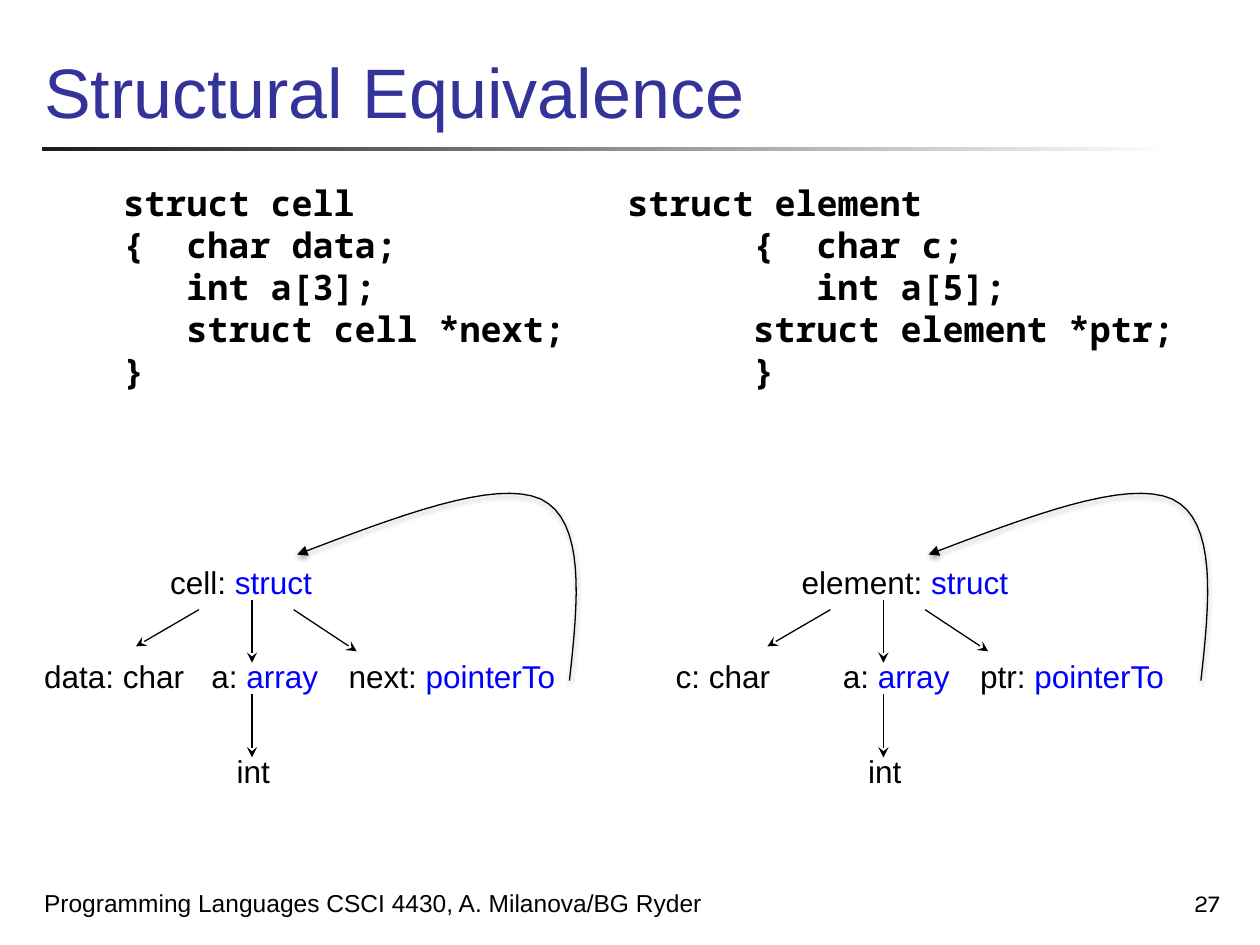
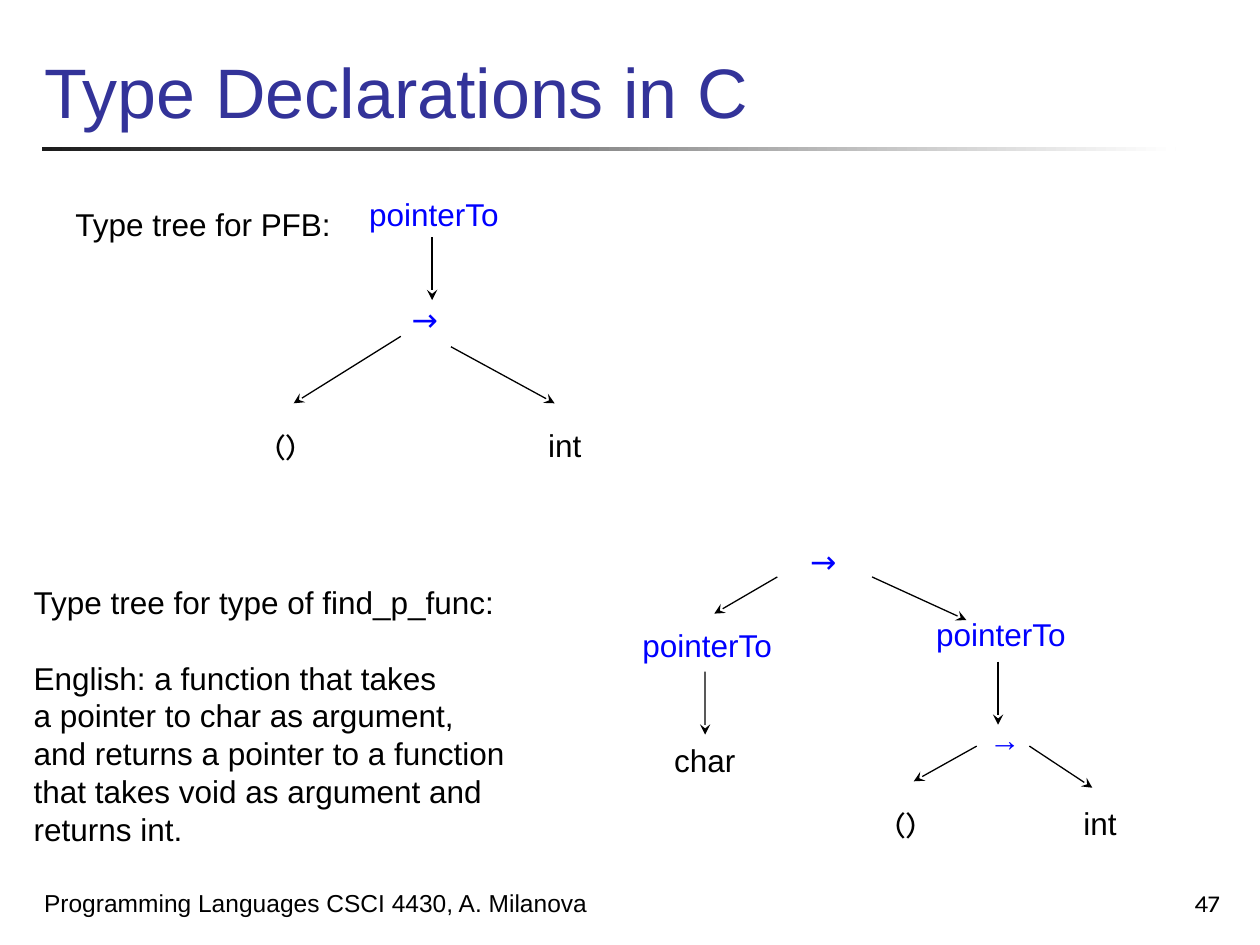
import pptx
import pptx.util
import pptx.dml.color
import pptx.enum.shapes
import pptx.enum.text
import pptx.oxml.ns
from lxml import etree

Cm = pptx.util.Cm
Pt = pptx.util.Pt
qn = pptx.oxml.ns.qn
Anchor = pptx.enum.text.MSO_ANCHOR
Align = pptx.enum.text.PP_ALIGN


def paint(code):
    return pptx.dml.color.RGBColor.from_string(code)


def bend(start, one, two, end, steps=16):
    for i in range(1, steps + 1):
        t = i / steps
        u = 1 - t
        yield tuple(
            round(u**3 * a + 3 * u * u * t * b + 3 * u * t * t * c + t**3 * d)
            for a, b, c, d in zip(start, one, two, end)
        )


class Deck:
    black, blue, navy, grey, white = "000000", "0000FF", "333399", "1C1C1C", "FFFFFF"
    sans, alt, mono = "Arial", "Karla", "Noto Sans Mono"
    pitch = 21.6

    def __init__(self):
        self.file = pptx.Presentation()
        self.file.slide_width = Cm(25.4)
        self.file.slide_height = Cm(19.05)
        self.slide = None

    def page(self, title, credit, number):
        self.slide = self.file.slides.add_slide(self.file.slide_layouts[6])
        self.rule()
        self.text(0.64, 0, 24.18, 2.79, title, 40, self.navy, anchor=Anchor.BOTTOM)
        self.text(0.64, 17.35, 15.24, 1.27, credit, 14, anchor=Anchor.BOTTOM)
        foot = self.text(19.56, 17.35, 5.28, 1.27, number, 14, font=self.alt, anchor=Anchor.BOTTOM)
        foot.text_frame.paragraphs[0].alignment = Align.RIGHT

    def rule(self):
        kind = pptx.enum.shapes.MSO_SHAPE.RECTANGLE
        bar = self.slide.shapes.add_shape(kind, Cm(0.84), Cm(2.97), Cm(22.86), Cm(0.08))
        bar.shadow.inherit = False
        bar.line.fill.background()
        bar.fill.gradient()
        bar.fill.gradient_angle = 0
        for stop, code in zip(bar.fill.gradient_stops, (self.grey, self.white)):
            stop.color.rgb = paint(code)

    def style(self, run, size, code, font, bold=False):
        run.font.size = Pt(size)
        run.font.name = font
        run.font.bold = bold
        run.font.color.rgb = paint(code)

    def text(self, x, y, wide, high, words, size, code=black, font=sans, bold=False,
             anchor=Anchor.TOP, wrap=True):
        box = self.slide.shapes.add_textbox(Cm(x), Cm(y), Cm(wide), Cm(high))
        frame = box.text_frame
        frame.word_wrap = wrap
        frame.vertical_anchor = anchor
        frame.text = words
        for para in frame.paragraphs:
            for run in para.runs:
                self.style(run, size, code, font, bold)
        return box

    def label(self, x, y, wide, plain="", typed="", font=sans, high=1.02):
        box = self.text(x, y, wide, high, plain, 18, font=font, wrap=False)
        frame = box.text_frame
        frame.auto_size = pptx.enum.text.MSO_AUTO_SIZE.SHAPE_TO_FIT_TEXT
        for para in frame.paragraphs:
            para.line_spacing = Pt(self.pitch)
        if typed:
            run = frame.paragraphs[0].add_run()
            run.text = typed
            self.style(run, 18, self.blue, font)
        return box

    def code(self, x, y, wide, high, rows):
        words = "\n".join(row for row, stops in rows)
        box = self.text(x, y, wide, high, words, 20, font=self.mono, bold=True)
        box.text_frame.margin_left = Cm(1.52)
        for para, (row, stops) in zip(box.text_frame.paragraphs, rows):
            para.line_spacing = Pt(24)
            tabs = etree.SubElement(para._p.get_or_add_pPr(), qn("a:tabLst"))
            for stop in stops:
                etree.SubElement(tabs, qn("a:tab"), pos=str(Cm(stop)), algn="l")

    def tip(self, item, kind):
        item.line.color.rgb = paint(self.black)
        item.line.width = Pt(0.75)
        etree.SubElement(item.line._get_or_add_ln(), qn("a:tailEnd"), type=kind)
        return etree.SubElement(item._element.spPr, qn("a:effectLst"))

    def arrow(self, x, y, to_x, to_y, goal=None):
        kind = pptx.enum.shapes.MSO_CONNECTOR.STRAIGHT
        line = self.slide.shapes.add_connector(kind, Cm(x), Cm(y), Cm(to_x), Cm(to_y))
        if goal is not None:
            line.end_connect(goal, 0)
        self.tip(line, "stealth")

    def loop(self, points):
        build = self.slide.shapes.build_freeform(*points[0])
        for k in range(0, len(points) - 1, 3):
            build.add_line_segments(list(bend(*points[k:k + 4])), close=False)
        curve = build.convert_to_shape()
        curve.fill.background()
        glow = etree.SubElement(self.tip(curve, "triangle"), qn("a:outerShdw"),
                                blurRad=str(Pt(3.1)), dist=str(Pt(1.8)), dir="5400000", rotWithShape="0")
        tone = etree.SubElement(glow, qn("a:srgbClr"), val=self.black)
        etree.SubElement(tone, qn("a:alpha"), val="35000")

    def tree(self, left, head, item, link):
        self.label(left + 3.18, 11.23, head[1], head[0], " struct")
        self.label(left + 0.64, 13.13, item[1], item[0])
        self.label(left + 4.01, 13.13, 2.69, "a: ", "array")
        self.label(left + 6.78, 13.13, link[1], link[0], "pointerTo")
        self.label(left + 4.52, 15.04, 1.19, "int")
        for x, y, to_x, to_y in (
            (4.01, 12.29, 2.74, 13.03),
            (5.92, 12.29, 7.19, 13.13),
            (5.08, 12.09, 5.08, 13.36),
            (5.08, 14, 5.08, 15.27),
        ):
            self.arrow(left + x, y, left + to_x, to_y)
        self.loop([(Cm(left + x), Cm(y)) for x, y in (
            (11.48, 13.72), (11.66, 12.12), (11.81, 10.49), (10.9, 10.06),
            (9.98, 9.65), (8, 10.41), (5.99, 11.18),
        )])


def equal(deck):
    deck.page("Structural Equivalence", "Programming Languages CSCI 4430, A. Milanova/BG Ryder", "27")
    near, far, deep = 1.27, 12.7, 13.97
    deck.code(0.97, 3.53, 23.8, 4.52, (
        ("struct cell\tstruct element", (10.16,)),
        ("{\tchar data;\t{\tchar c;", (near, far, deep)),
        ("\tint a[3];\tint a[5];", (near, deep)),
        ("\tstruct cell *next;\tstruct element *ptr;", (near, far)),
        ("}\t}", (far,)),
    ))
    deck.tree(0, ("cell:", 3.4), ("data: char", 3.35), ("next: ", 4.72))
    deck.tree(12.73, ("element:", 4.72), ("c: char", 2.44), ("ptr: ", 4.24))


def declare(deck):
    deck.page("Type Declarations in C", "Programming Languages CSCI 4430, A. Milanova", "47")
    deck.label(1.27, 4.01, 5.72, "Type tree for PFB:")
    lines = (
        "Type tree for type of find_p_func:",
        "English: a function that takes",
        "a pointer to char as argument,",
        "and returns a pointer to a function",
        "that takes void as argument and",
        "returns int.",
    )
    note = deck.label(0.43, 11.63, 10.19, "\n".join(lines), high=5.59)
    note.text_frame.paragraphs[1].space_before = Pt(deck.pitch)
    for x, y in ((7.19, 3.81), (18.62, 12.27), (12.7, 12.5)):
        deck.label(x, y, 3.2, typed="pointerTo")
    for x, y, font in ((8.05, 5.92, deck.alt), (19.69, 14.4, deck.sans), (16.08, 10.8, deck.alt)):
        deck.label(x, y, 1.14, typed="→", font=font)
    for x, y in ((5.28, 8.46), (17.78, 16.08)):
        deck.label(x, y, 0.99, "()", font=deck.alt)
    for x, y in ((10.8, 8.46), (21.59, 16.08)):
        deck.label(x, y, 1.22, "int")
    leaf = deck.label(13.34, 14.81, 1.75, "char")
    for ends in (
        (8.71, 4.78, 8.71, 6.05),
        (8.08, 6.78, 5.92, 8.13),
        (9.09, 6.99, 11.18, 8.13),
        (20.12, 13.34, 20.12, 14.61),
        (19.69, 15.04, 18.42, 15.75),
        (20.75, 15.04, 22.02, 15.88),
        (15.67, 11.63, 14.4, 12.37),
        (17.58, 11.63, 19.48, 12.5),
        (14.21, 13.54, 14.21, 14.81, leaf),
    ):
        deck.arrow(*ends)


def main():
    deck = Deck()
    equal(deck)
    declare(deck)
    deck.file.save("out.pptx")


if __name__ == "__main__":
    main()
